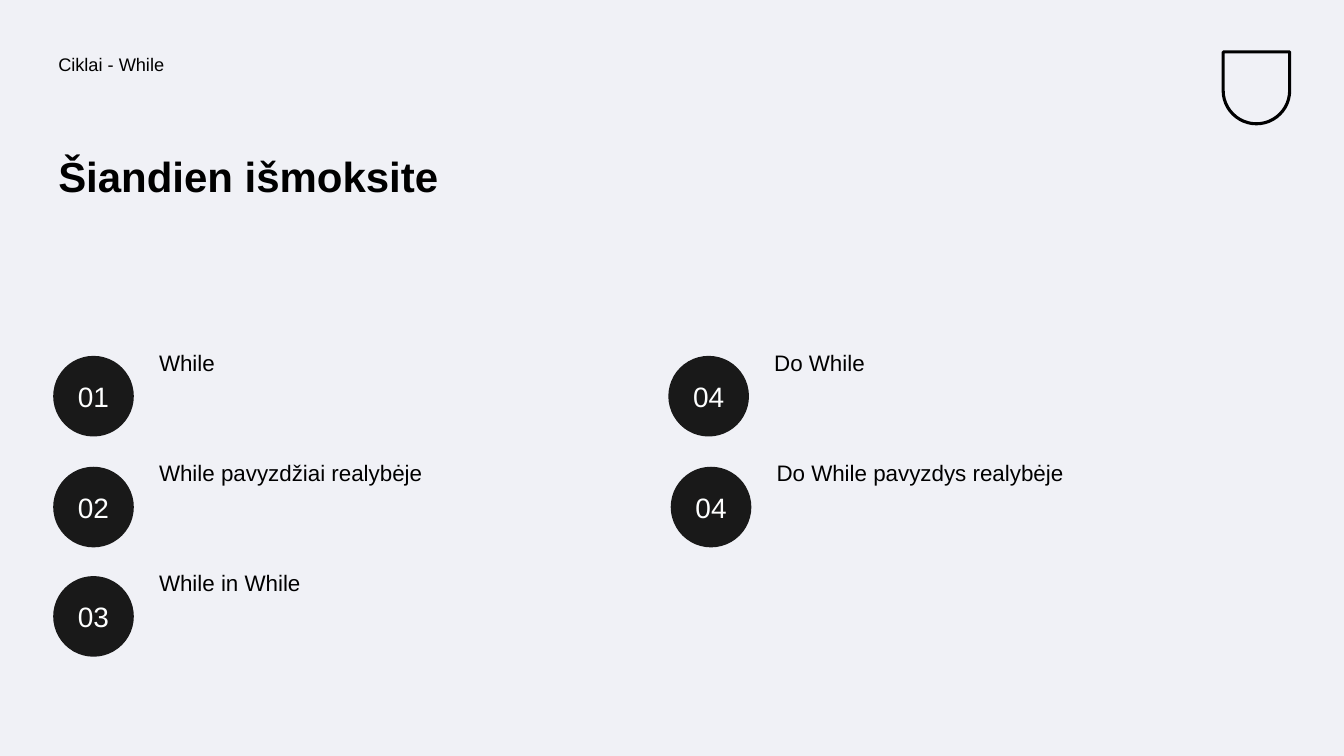
from pptx import Presentation
from pptx.dml.color import RGBColor
from pptx.enum.shapes import MSO_SHAPE as Shape
from pptx.enum.text import MSO_ANCHOR as Anchor, PP_ALIGN as Align
from pptx.util import Pt

BLACK, DISC, WHITE, PAPER = "000000", "191919", "FEFFFF", "F0F1F6"
DISC_SIZE = 57.6
LABEL_SHIFT = 72
DISC_DROP = 6.5
ROW_TOPS = (247.7, 326.9, 405)
LEFT, RIGHT, RIGHT_SHIFTED = 38, 477.4, 479.1

TOPICS = [
    ("01", "While", LEFT, 0),
    ("02", "While pavyzdžiai realybėje", LEFT, 1),
    ("03", "While in While", LEFT, 2),
    ("04", "Do While", RIGHT, 0),
    ("04", "Do While pavyzdys realybėje", RIGHT_SHIFTED, 1),
]


def color(value):
    return RGBColor.from_string(value)


def style(target, formats):
    for key, value in formats.items():
        setattr(target, key, value)


class Deck:
    font = "Arial"

    def __init__(self):
        self.presentation = Presentation()
        style(self.presentation, {"slide_width": Pt(960), "slide_height": Pt(540)})
        self.slide = self.presentation.slides.add_slide(self.presentation.slide_layouts[6])
        background = self.slide.background.fill
        background.solid()
        background.fore_color.rgb = color(PAPER)

    def put_words(self, frame, words, size, ink, inset, frame_format, paragraph_format, bold=False):
        margins = dict.fromkeys(
            ("margin_left", "margin_top", "margin_right", "margin_bottom"), Pt(inset))
        style(frame, {**margins, **frame_format})
        paragraph = frame.paragraphs[0]
        style(paragraph, paragraph_format)
        run = paragraph.add_run()
        run.text = words
        style(run.font, {"name": self.font, "size": Pt(size), "bold": bold})
        run.font.color.rgb = color(ink)

    def label(self, words, left, top, width, height, size, bold=False):
        box = self.slide.shapes.add_textbox(Pt(left), Pt(top), Pt(width), Pt(height))
        self.put_words(box.text_frame, words, size, BLACK, 3.6,
                       {"word_wrap": True, "vertical_anchor": Anchor.TOP},
                       {"alignment": Align.LEFT, "line_spacing": 0.9}, bold)

    def disc(self, number, left, top):
        disc = self.slide.shapes.add_shape(
            Shape.OVAL, Pt(left), Pt(top), Pt(DISC_SIZE), Pt(DISC_SIZE))
        disc.shadow.inherit = False
        disc.fill.solid()
        disc.fill.fore_color.rgb = color(DISC)
        disc.line.fill.background()
        self.put_words(disc.text_frame, number, 20, WHITE, 0,
                       {"word_wrap": False, "vertical_anchor": Anchor.MIDDLE},
                       {"alignment": Align.CENTER})

    def shield(self, left, top, width, height):
        shield = self.slide.shapes.add_shape(
            Shape.ROUND_2_SAME_RECTANGLE, Pt(left), Pt(top), Pt(width), Pt(height))
        shield.shadow.inherit = False
        shield.adjustments[0] = 0.5
        shield.rotation = 180
        shield.fill.background()
        shield.line.color.rgb = color(BLACK)
        shield.line.width = Pt(2.2)

    def save(self):
        self.presentation.save("out.pptx")


def main():
    deck = Deck()
    deck.shield(873.7, 37.1, 47.5, 51.3)
    deck.label("Ciklai - While", LEFT, 36, 442, 36, 13)
    deck.label("Šiandien išmoksite", LEFT, 108, 406, 107.3, 30, bold=True)
    for number, topic, left, row in TOPICS:
        top = ROW_TOPS[row]
        deck.disc(number, left, top + DISC_DROP)
        deck.label(topic, left + LABEL_SHIFT, top, 333.4, 71.3, 16)
    deck.save()


if __name__ == "__main__":
    main()
